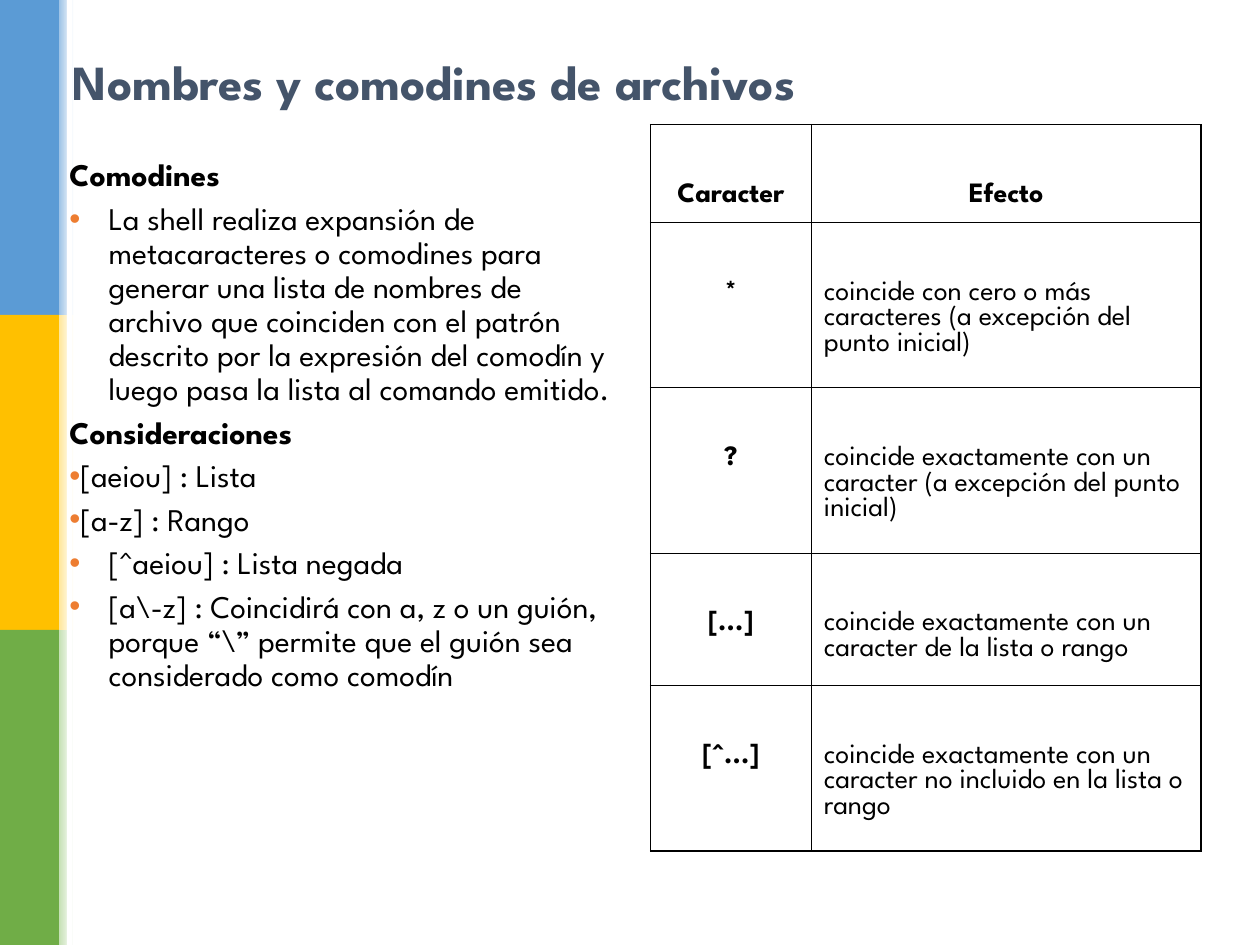
import pptx
import pptx.dml.color
import pptx.enum.shapes
import pptx.enum.text
import pptx.oxml
import pptx.oxml.ns
import pptx.util

Cm, Pt = pptx.util.Cm, pptx.util.Pt
ALIGN = pptx.enum.text.PP_ALIGN
ANCHOR = pptx.enum.text.MSO_ANCHOR
NS = pptx.oxml.ns.nsdecls("a")

HUES = {
    "blue": "5B9BD5", "gold": "FFC000", "green": "70AD47",
    "pale blue": "9DC3E6", "pale gold": "FFE699", "pale green": "C5E0B4",
    "white": "FFFFFF", "black": "000000", "slate": "44546A", "orange": "ED7D31",
}
TITLE = "Nombres y comodines de archivos"

# Kind of paragraph and its text
NOTES = [
    ("head", "Comodines"),
    ("hang", "La shell realiza expansión de metacaracteres o comodines para generar "
             "una lista de nombres de archivo que coinciden con el patrón descrito por "
             "la expresión del comodín y luego pasa la lista al comando emitido."),
    ("head", "Consideraciones"),
    ("flush", "[aeiou] : Lista"),
    ("flush", "[a-z] : Rango"),
    ("hang", "[^aeiou] : Lista negada"),
    ("hang", "[a\\-z] : Coincidirá con a, z o un guión, porque “\\” permite que "
             "el guión sea considerado como comodín"),
]
LEFT = {"hang": 0.79, "flush": 0}

# Row height and its two cells
ROWS = [
    (1.6, "Caracter", "Efecto"),
    (2.92, "*", "coincide con cero o más caracteres (a excepción del punto inicial)"),
    (3.3, "?", "coincide exactamente con un caracter (a excepción del punto inicial)"),
    (2.67, "[...]", "coincide exactamente con un caracter de la lista o rango"),
    (3.3, "[^...]", "coincide exactamente con un caracter no incluido en la lista o rango"),
]


def hue(name):
    return pptx.dml.color.RGBColor.from_string(HUES[name])


def apply(obj, form):
    for name, value in form.items():
        setattr(obj, name, value)


class Page:
    """Holds the text style and the slide being filled."""

    font = "League Spartan"
    inset = dict(margin_left=Cm(0.23), margin_right=Cm(0.23),
                 margin_top=Cm(0.1), margin_bottom=Cm(0.1), word_wrap=True)
    cell = dict(margin_left=Cm(0.25), margin_right=Cm(0.25),
                margin_top=Cm(1.17), margin_bottom=Cm(0.13))

    def __init__(self, deck):
        self.slide = deck.slides.add_slide(deck.slide_layouts[5])

    def text(self, para, words, size, bold, color="black", **form):
        run = para.add_run()
        run.text = words
        apply(run.font, dict(name=self.font, size=Pt(size), bold=bold))
        run.font.color.rgb = hue(color)
        apply(para, form)

    def bar(self, box, color, fade=None):
        shape = self.slide.shapes.add_shape(
            pptx.enum.shapes.MSO_SHAPE.RECTANGLE, *map(Cm, box))
        shape.shadow.inherit = False
        shape.line.fill.background()
        if fade:
            shape.fill.gradient()
            shape.fill.gradient_angle = 0
            for stop, name in zip(shape.fill.gradient_stops, (color, fade)):
                stop.color.rgb = hue(name)
        else:
            shape.fill.solid()
            shape.fill.fore_color.rgb = hue(color)

    def title(self, box, words):
        shape = self.slide.shapes.title
        apply(shape, dict(zip(("left", "top", "width", "height"), map(Cm, box))))
        frame = shape.text_frame
        apply(frame, self.inset)
        apply(frame, dict(auto_size=pptx.enum.text.MSO_AUTO_SIZE.NONE,
                          vertical_anchor=ANCHOR.BOTTOM))
        self.text(frame.paragraphs[0], words, 28, True, "slate",
                  alignment=ALIGN.LEFT, line_spacing=0.9)

    def bullet(self, para, left):
        props = para._p.get_or_add_pPr()
        props.set("marL", str(Cm(left)))
        props.set("indent", str(Cm(-0.79)))
        for part in (f'<a:buClr {NS}><a:srgbClr val="{HUES["orange"]}"/></a:buClr>',
                     f'<a:buFont {NS} typeface="Arial"/>',
                     f'<a:buChar {NS} char="•"/>'):
            props.append(pptx.oxml.parse_xml(part))

    def notes(self, box, items):
        frame = self.slide.shapes.add_textbox(*map(Cm, box)).text_frame
        apply(frame, self.inset)
        for i, (kind, words) in enumerate(items):
            para = frame.add_paragraph() if i else frame.paragraphs[0]
            self.text(para, words, 18, kind == "head",
                      line_spacing=0.9, space_before=Pt(5.4))
            if kind in LEFT:
                self.bullet(para, LEFT[kind])

    def border(self, cell):
        props = cell._tc.get_or_add_tcPr()
        for i, side in enumerate(("lnL", "lnR", "lnT", "lnB")):
            props.insert(i, pptx.oxml.parse_xml(
                f'<a:{side} {NS} w="{Pt(0.75)}"><a:solidFill>'
                f'<a:srgbClr val="{HUES["black"]}"/></a:solidFill></a:{side}>'))

    def table(self, box, cols, rows):
        grid = self.slide.shapes.add_table(len(rows), len(cols), *map(Cm, box)).table
        apply(grid, dict(first_row=False, horz_banding=False))
        for col, width in zip(grid.columns, cols):
            col.width = Cm(width)
        for r, (height, *texts) in enumerate(rows):
            grid.rows[r].height = Cm(height)
            for c, words in enumerate(texts):
                cell = grid.cell(r, c)
                apply(cell, self.cell)
                cell.fill.background()
                self.border(cell)
                key = r == 0 or c == 0
                self.text(cell.text_frame.paragraphs[0], words, 16, key,
                          alignment=ALIGN.CENTER if key else ALIGN.LEFT)


def main():
    deck = pptx.Presentation()
    apply(deck, dict(slide_width=Cm(25.4), slide_height=Cm(19.05)))
    page = Page(deck)
    tall = 19.05 / 3
    for i, name in enumerate(("blue", "gold", "green")):
        page.bar((0, i * tall, 1.19, tall), name)
        page.bar((1.19, i * tall, 0.3, tall), "pale " + name, "white")
    page.bar((1.35, 0, 0.1, 19.05), "white")
    page.title((1.22, -0.33, 22.61, 2.67), TITLE)
    page.notes((1.17, 3.12, 11.4, 14), NOTES)
    page.table((13.11, 2.51, 11.1, 13.79), (3.25, 7.85), ROWS)
    deck.save("out.pptx")


if __name__ == "__main__":
    main()
